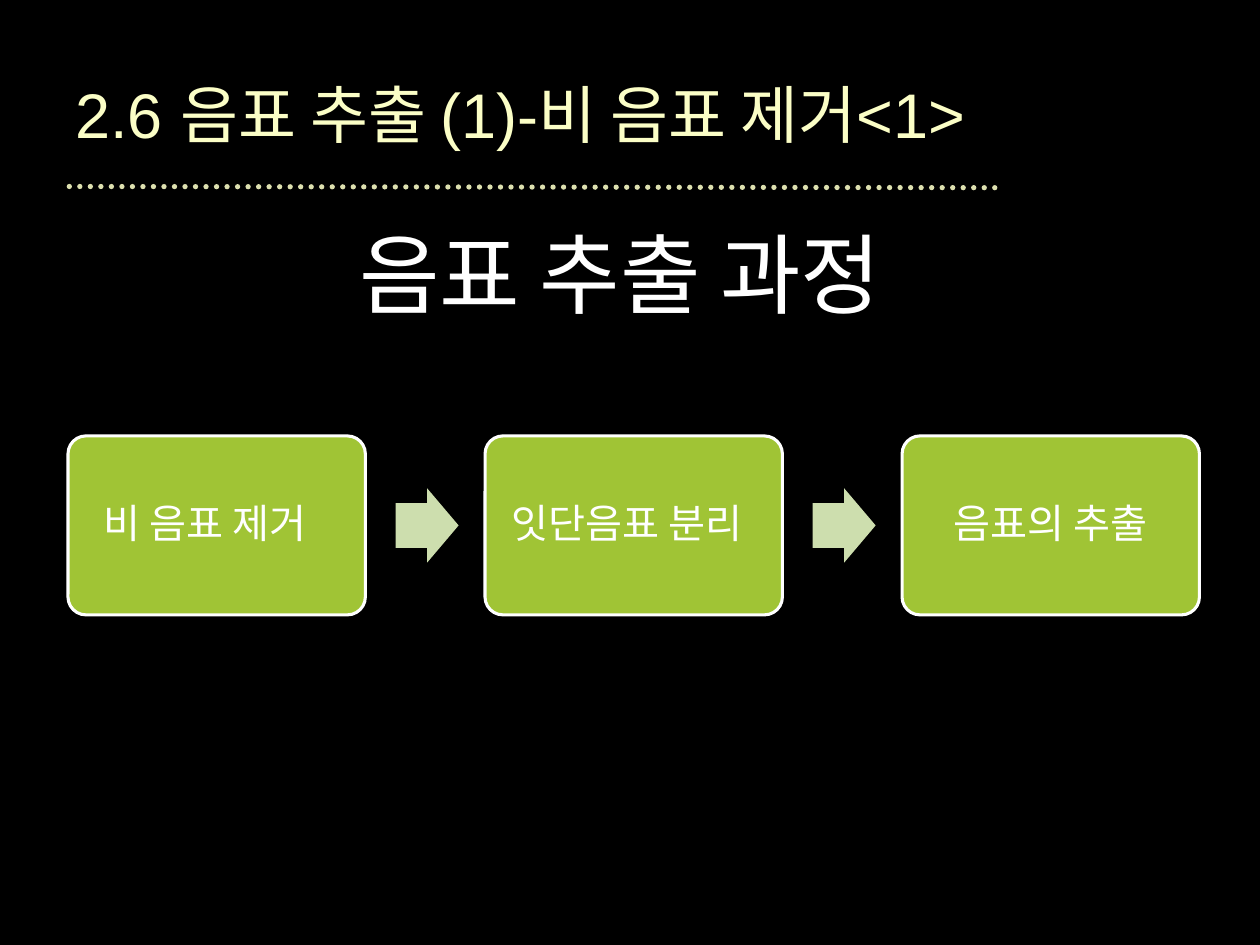
from lxml import etree
from pptx import Presentation
from pptx.dml.color import RGBColor
from pptx.enum.dml import MSO_LINE
from pptx.enum.shapes import MSO_CONNECTOR, MSO_SHAPE
from pptx.enum.text import MSO_ANCHOR, PP_ALIGN
from pptx.oxml.ns import qn
from pptx.util import Inches, Pt

STRAIGHT = MSO_CONNECTOR.STRAIGHT
BOX, ARROW = MSO_SHAPE.ROUNDED_RECTANGLE, MSO_SHAPE.RIGHT_ARROW
MIDDLE, TOP = MSO_ANCHOR.MIDDLE, MSO_ANCHOR.TOP
LEFT, CENTER = PP_ALIGN.LEFT, PP_ALIGN.CENTER

BLACK = RGBColor(0x00, 0x00, 0x00)
WHITE = RGBColor(0xFF, 0xFF, 0xFF)
CREAM = RGBColor(0xFB, 0xFE, 0xC6)
KHAKI = RGBColor(0xDD, 0xE0, 0xAF)
GREEN = RGBColor(0xA0, 0xC4, 0x35)
PALE_GREEN = RGBColor(0xCD, 0xDE, 0xAE)

# Content
TITLE = "2.6 음표 추출 (1)-비 음표 제거<1>"
HEADING = "음표 추출 과정"
STEPS = [  # label, right inset that shifts it off centre
    ("비 음표 제거", 0.28),
    ("잇단음표 분리", 0.2),
    ("음표의 추출", 0.1),
]

# Process row, in inches
ROW_LEFT, ROW_TOP, STEP_PITCH = 0.54, 3.46, 3.31
BOX_W, BOX_H = 2.36, 1.42
ARROW_W, ARROW_H, ARROW_OFFSET = 0.5, 0.59, 2.6


def write(shape, text, size, font, color, align, anchor):
    frame = shape.text_frame
    frame.word_wrap = True
    frame.vertical_anchor = anchor
    frame.text = text
    paragraph = frame.paragraphs[0]
    paragraph.alignment = align
    style = paragraph.runs[0].font
    style.size, style.name = Pt(size), font
    style.color.rgb = color
    return frame


def add_filled(slide, preset, left, top, width, height, color):
    shape = slide.shapes.add_shape(
        preset, Inches(left), Inches(top), Inches(width), Inches(height))
    shape.shadow.inherit = False
    shape.fill.solid()
    shape.fill.fore_color.rgb = color
    return shape


def add_title(slide):
    title = slide.shapes.add_textbox(
        Inches(0.5), Inches(0.39), Inches(8.59), Inches(1.02))
    write(title, TITLE, 36, "Arial", CREAM, LEFT, MIDDLE)

    # Round dots under the title
    rule = slide.shapes.add_connector(
        STRAIGHT, Inches(0.55), Inches(1.48), Inches(7.97), Inches(1.49))
    rule.line.color.rgb = KHAKI
    rule.line.width = Pt(3)
    rule.line.dash_style = MSO_LINE.ROUND_DOT
    rule.line._get_or_add_ln().set("cap", "rnd")
    etree.SubElement(rule._element.spPr, qn("a:effectLst"))


def add_step(slide, index, label, right_inset):
    left = ROW_LEFT + index * STEP_PITCH
    box = add_filled(slide, BOX, left, ROW_TOP, BOX_W, BOX_H, GREEN)
    box.adjustments[0] = 0.1
    box.line.color.rgb = WHITE
    box.line.width = Pt(1.75)
    frame = write(box, label, 23, "Open Sans", WHITE, CENTER, MIDDLE)
    frame.margin_left = frame.margin_top = frame.margin_bottom = Inches(0.1)
    frame.margin_right = Inches(right_inset)
    frame.paragraphs[0].line_spacing = 0.9

    # Arrow to the next step
    if index < len(STEPS) - 1:
        arrow = add_filled(slide, ARROW, left + ARROW_OFFSET,
                           ROW_TOP + (BOX_H - ARROW_H) / 2,
                           ARROW_W, ARROW_H, PALE_GREEN)
        arrow.adjustments[0], arrow.adjustments[1] = 0.6, 0.5
        arrow.line.fill.background()


def main():
    deck = Presentation()
    deck.slide_width, deck.slide_height = Inches(10), Inches(7.5)
    slide = deck.slides.add_slide(deck.slide_layouts[6])
    slide.background.fill.solid()
    slide.background.fill.fore_color.rgb = BLACK

    add_title(slide)
    for index, (label, right_inset) in enumerate(STEPS):
        add_step(slide, index, label, right_inset)

    heading = slide.shapes.add_textbox(
        Inches(0.83), Inches(1.7), Inches(8.19), Inches(0.94))
    write(heading, HEADING, 50, "Open Sans", WHITE, CENTER, TOP)

    deck.save("out.pptx")


if __name__ == "__main__":
    main()
